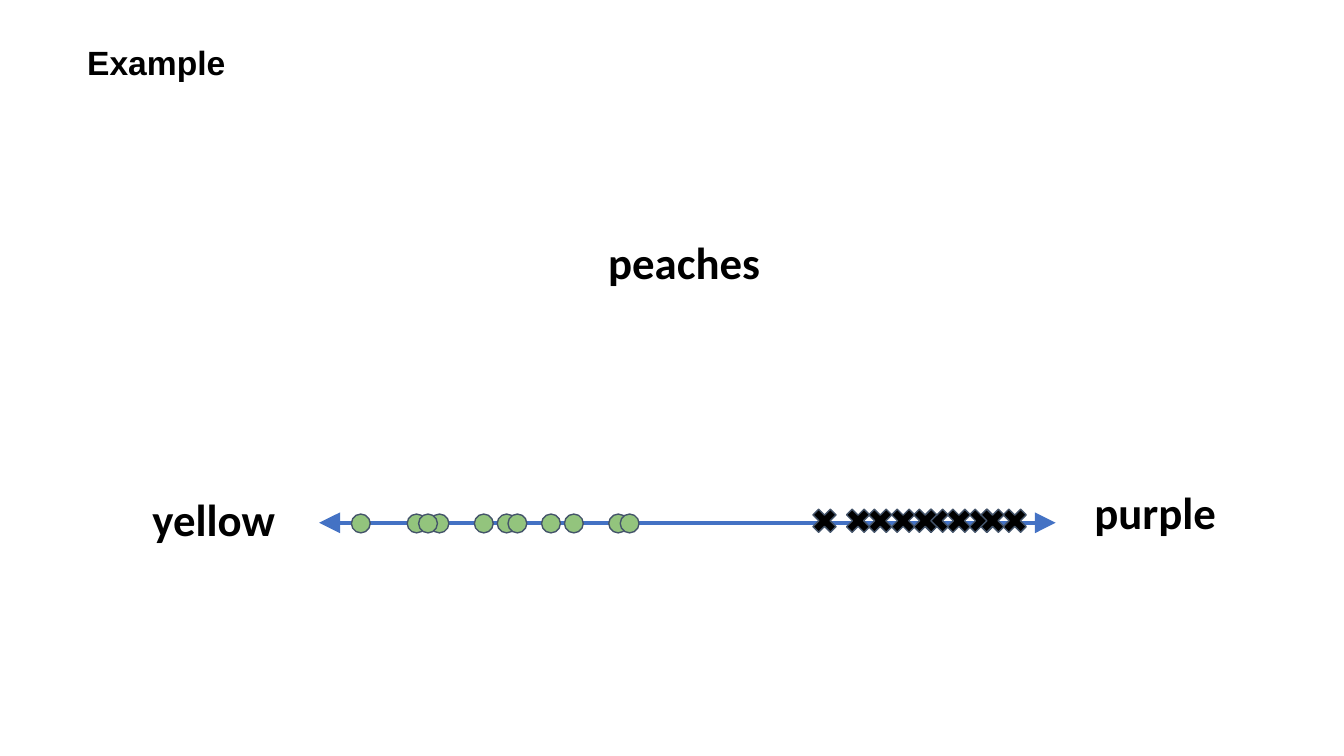
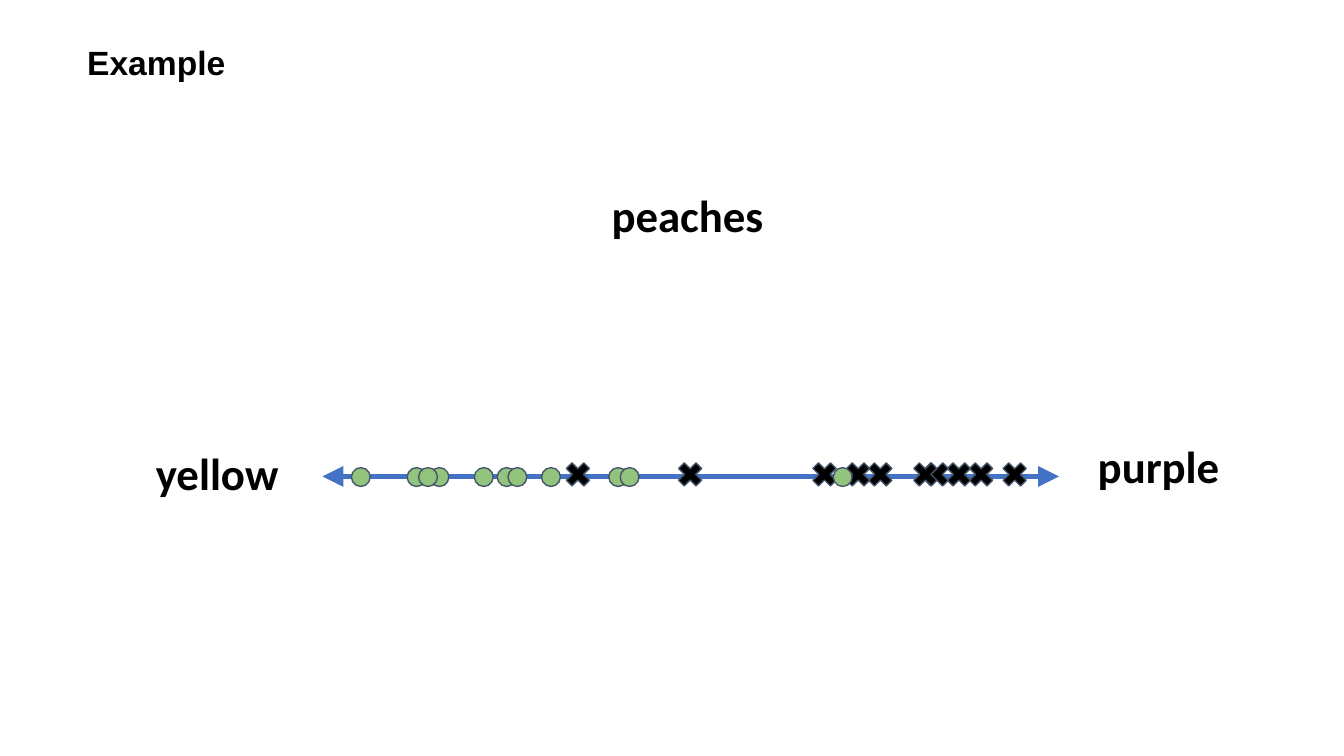
from dataclasses import dataclass

from pptx import Presentation
from pptx.dml.color import RGBColor
from pptx.enum.shapes import MSO_CONNECTOR, MSO_SHAPE
from pptx.enum.text import PP_ALIGN
from pptx.oxml.ns import qn
from pptx.slide import Slide
from pptx.util import Pt
from lxml import etree

PX = 4572
LEFT = PP_ALIGN.LEFT
CENTER = PP_ALIGN.CENTER
CROSS = MSO_SHAPE.MATH_MULTIPLY
DOT = MSO_SHAPE.OVAL
STRAIGHT = MSO_CONNECTOR.STRAIGHT
COLORS = {"ink": "000000", "axis": "4472C4", "edge": "44546A", "dot": "93C47D"}


@dataclass(frozen=True)
class Label:
    text: str
    x: int
    y: int
    w: int


@dataclass(frozen=True)
class Mark:
    kind: MSO_SHAPE
    fill: str
    x: int
    y: int
    size: int


@dataclass(frozen=True)
class Page:
    dx: int
    dy: int
    cross: tuple[int, ...]
    dots: tuple[int, ...]


LABELS = (
    Label("peaches", 830, 329, 376),
    Label("yellow", 160, 712, 316),
    Label("purple", 1557, 702, 324),
)
CROSSES = Mark(CROSS, "ink", 1202, 750, 50)
DOTS = Mark(DOT, "dot", 523, 765, 28)
PAGES = (
    Page(0, 0, (17, 12, 14, 15, 5, 7, 10, 0, 3, 9),
         (13, 14, 17, 19, 23, 24, 0, 5, 7, 11, 6)),
    Page(5, -69, (17, 12, 14, -12, 5, -22, 10, 0, 3, 9),
         (13, 14, 17, 43, 23, 24, 0, 5, 7, 11, 6)),
)


def color(name: str) -> RGBColor:
    return RGBColor.from_string(COLORS[name])


def write(slide: Slide, text: str, *, x: int, y: int, w: int, h: int = 156,
          size: int = 24, font: str = "Calibri", align: PP_ALIGN = CENTER) -> None:
    box = slide.shapes.add_textbox(x * PX, y * PX, w * PX, h * PX)
    frame = box.text_frame
    frame.word_wrap = True
    frame.margin_left = frame.margin_right = 20 * PX
    frame.margin_top = frame.margin_bottom = 20 * PX
    line = frame.paragraphs[0]
    line.alignment = align
    run = line.add_run()
    run.text = text
    run.font.size = Pt(size)
    run.font.name = font
    run.font.bold = True
    run.font.color.rgb = color("ink")


def draw_axis(slide: Slide, x: int, y: int, w: int) -> None:
    axis = slide.shapes.add_connector(STRAIGHT, x * PX, y * PX, (x + w) * PX, y * PX)
    axis.line.color.rgb = color("axis")
    axis.line.width = Pt(2.25)
    props = axis._element.spPr
    for end in ("a:headEnd", "a:tailEnd"):
        etree.SubElement(props.find(qn("a:ln")), qn(end),
                         type="triangle", w="lg", len="lg")
    etree.SubElement(props, qn("a:effectLst"))


def draw_marks(slide: Slide, mark: Mark, steps: tuple[int, ...], dy: int) -> None:
    for step in steps:
        x = mark.x + round(step * 50 / 3)
        shape = slide.shapes.add_shape(
            mark.kind, x * PX, (mark.y + dy) * PX, mark.size * PX, mark.size * PX)
        shape.shadow.inherit = False
        shape.fill.solid()
        shape.fill.fore_color.rgb = color(mark.fill)
        shape.line.color.rgb = color("edge")
        shape.line.width = Pt(0.75)
        if mark.kind == CROSS:
            shape.adjustments[0] = 0.235


def draw_page(slide: Slide, page: Page) -> None:
    write(slide, "Example", x=110, y=42, w=1430, h=126, size=18, font="Arial", align=LEFT)
    for label in LABELS:
        write(slide, label.text, x=label.x + page.dx, y=label.y + page.dy, w=label.w)
    draw_axis(slide, 475 + page.dx, 778 + page.dy, 1096)
    draw_marks(slide, CROSSES, page.cross, page.dy)
    draw_marks(slide, DOTS, page.dots, page.dy)


def main() -> None:
    deck = Presentation()
    deck.slide_width = 2000 * PX
    deck.slide_height = 1125 * PX
    blank = deck.slide_layouts[6]
    for page in PAGES:
        draw_page(deck.slides.add_slide(blank), page)
    deck.save("out.pptx")


if __name__ == "__main__":
    main()
